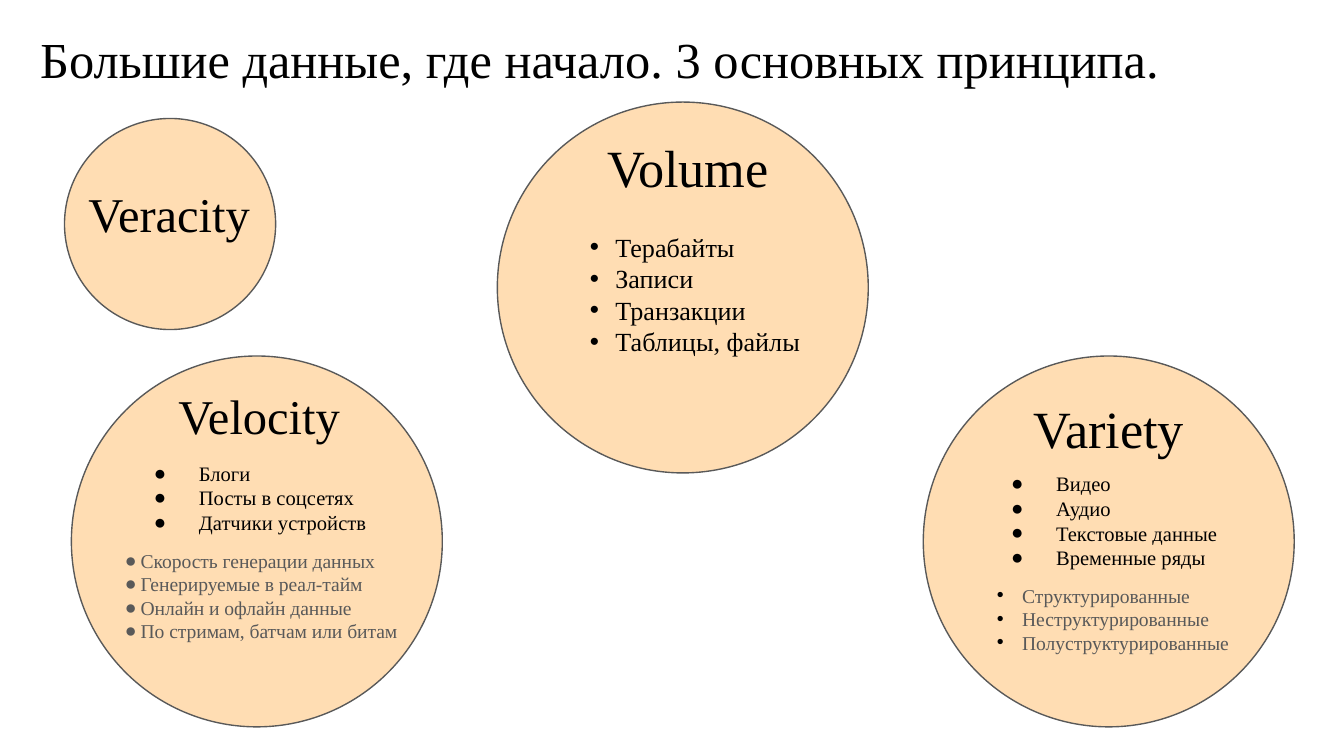
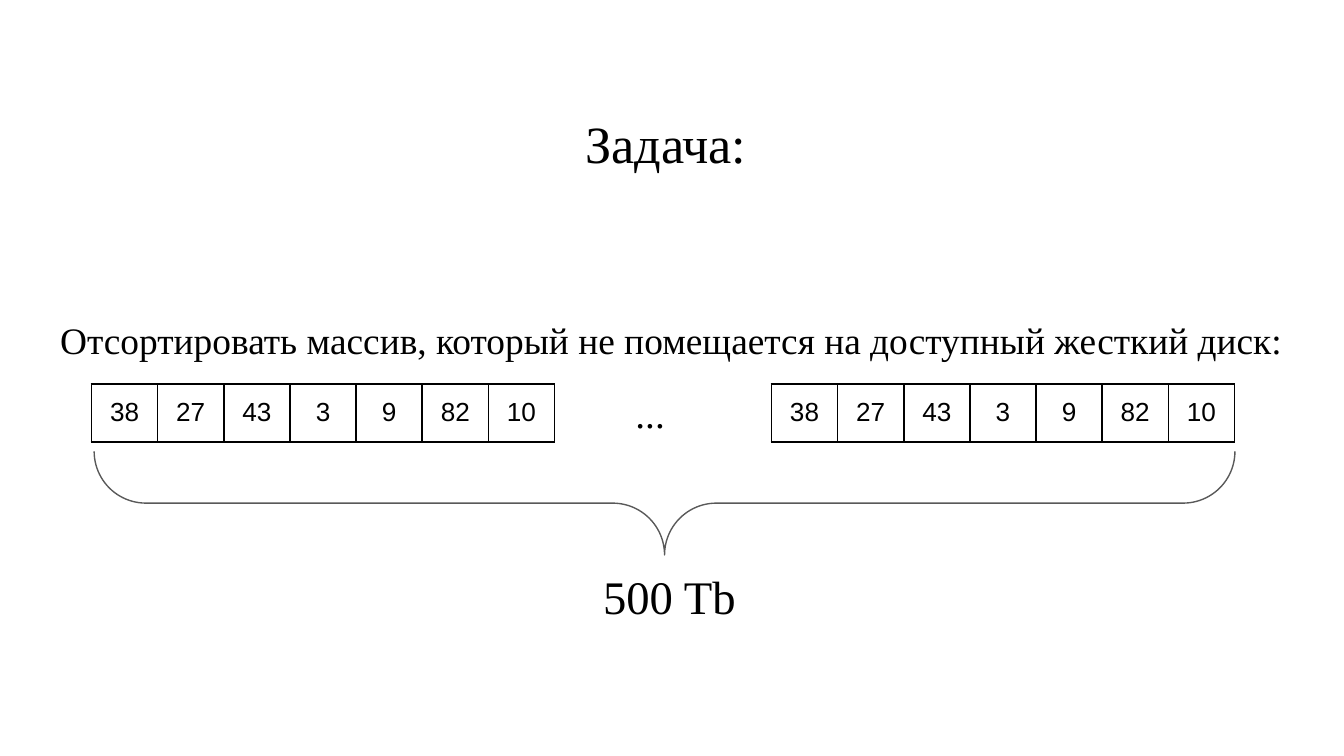
from lxml import etree
from pptx import Presentation
from pptx.dml.color import RGBColor
from pptx.enum.shapes import MSO_SHAPE
from pptx.enum.text import MSO_ANCHOR, PP_ALIGN
from pptx.oxml.ns import qn
from pptx.util import Cm, Pt

OVAL, BRACE = MSO_SHAPE.OVAL, MSO_SHAPE.LEFT_BRACE
LEFT, MID, TOP = PP_ALIGN.LEFT, PP_ALIGN.CENTER, MSO_ANCHOR.TOP
SERIF, SANS = "Times New Roman", "Arial"
HUES = {"ink": "000000", "grey": "595959", "peach": "FFDDB3"}
PAD, SLIM = 0.25, 0.13

WIDE = ("●", 1.27, 0.85)
DOT = ("•", 0.48, 0.48)
TIGHT = ("●", 0.3, 0.3)

DISCS = [(17.45, 6.73, 7.01), (9.4, 1.93, 7.01), (1.35, 6.73, 7.01), (1.22, 2.24, 3.99)]

HEADS = [
    ("Большие данные, где начало. 3 основных принципа.", (0.51, 0.28, 26.14, 1.68), 27, PAD),
    ("Volume", (11.23, 2.31, 3.84, 1.7), 28, PAD),
    ("Velocity", (3.12, 7.04, 4.09, 1.63), 26, PAD),
    ("Variety", (19.28, 7.24, 4.09, 1.7), 28, PAD),
    ("Veracity", (1.42, 3.35, 3.61, 1.37), 26, SLIM),
]

LISTS = [
    (["Блоги", "Посты в соцсетях", "Датчики устройств"],
     (2.24, 8.46, 5.23, 2.39), 11, PAD, "ink", WIDE, "ink"),
    (["Видео", "Аудио", "Текстовые данные", "Временные ряды"],
     (18.44, 8.66, 5.79, 3.33), 11, PAD, "ink", WIDE, "ink"),
    (["Скорость генерации данных", "Генерируемые в реал-тайм",
      "Онлайн и офлайн данные", "По стримам, батчам или битам"],
     (2.11, 10.24, 6.12, 2.44), 10.5, SLIM, "grey", TIGHT, "grey"),
    (["Терабайты", "Записи", "Транзакции", "Таблицы, файлы"],
     (10.9, 4.24, 4.65, 3.43), 14, SLIM, "ink", DOT, "ink"),
    (["Структурированные", "Неструктурированные", "Полуструктурированные"],
     (18.59, 10.9, 5.05, 1.6), 10.5, SLIM, "grey", DOT, "ink"),
]

TASK = ("Задача:", (10.82, 1.68, 3.73, 1.6), 28)
NOTES = [
    ("Отсортировать массив, который не помещается на доступный жесткий диск:",
     (0.56, 5.74, 24.26, 1.37), 20, MID),
    ("500 Tb", (11.15, 10.49, 3.63, 1.57), 25, LEFT),
    ("...", (11.76, 7.11, 1.55, 1.42), 21, LEFT),
]
ARRAY = [38, 27, 43, 3, 9, 82, 10]
STARTS, ROW, CELL, TALL = (1.73, 14.58), 7.26, 1.25, 1.09
HOOK = (11.58, -1.27, 1.96, 21.56)


def hue(name):
    return RGBColor.from_string(HUES[name])


def place(box):
    return [Cm(n) for n in box]


def inset(part, side, top):
    part.margin_left = part.margin_right = Cm(side)
    part.margin_top = part.margin_bottom = Cm(top)


def style(para, size, tint="ink", face=SERIF):
    font = para.font
    font.name, font.size, font.color.rgb = face, Pt(size), hue(tint)


def mark(para, kind, tint):
    sign, left, hang = kind
    props = para._p.get_or_add_pPr()
    props.set("marL", str(Cm(left)))
    props.set("indent", str(-Cm(hang)))
    parts = []
    for tag in ("a:buClr", "a:buFont", "a:buChar"):
        part = etree.Element(qn(tag))
        parts.append(part)
    etree.SubElement(parts[0], qn("a:srgbClr"), val=HUES[tint])
    parts[1].set("typeface", SANS)
    parts[2].set("char", sign)
    for at, part in enumerate(parts):
        props.insert(at, part)


def write(slide, lines, box, size, pad=PAD, tint="ink", align=LEFT, kind=None, spot="ink"):
    frame = slide.shapes.add_textbox(*place(box)).text_frame
    frame.word_wrap, frame.vertical_anchor = True, TOP
    inset(frame, 0.25, pad)
    frame.text = "\n".join(lines)
    for para in frame.paragraphs:
        para.alignment = align
        style(para, size, tint)
        if kind:
            mark(para, kind, spot)
    return frame


def draw(slide, form, box, fill=None):
    shape = slide.shapes.add_shape(form, *place(box))
    shape.shadow.inherit = False
    shape.line.color.rgb, shape.line.width = hue("grey"), Pt(0.75)
    if fill:
        shape.fill.solid()
        shape.fill.fore_color.rgb = hue(fill)
    else:
        shape.fill.background()
    return shape


def edge(cell):
    props = cell._tc.get_or_add_tcPr()
    for at, side in enumerate(("lnL", "lnR", "lnT", "lnB")):
        line = etree.Element(qn("a:" + side), w=str(Pt(1)))
        fill = etree.SubElement(line, qn("a:solidFill"))
        etree.SubElement(fill, qn("a:srgbClr"), val=HUES["ink"])
        props.insert(at, line)


def strip(slide, left):
    count = len(ARRAY)
    box = place((left, ROW, CELL * count, TALL))
    table = slide.shapes.add_table(1, count, *box).table
    table.first_row = table.horz_banding = False
    for col, num in enumerate(ARRAY):
        table.columns[col].width = Cm(CELL)
        cell = table.cell(0, col)
        cell.text = str(num)
        cell.fill.background()
        inset(cell, PAD, PAD)
        para = cell.text_frame.paragraphs[0]
        para.alignment = MID
        style(para, 14, face=SANS)
        edge(cell)


def basics(slide):
    for left, top, side in DISCS:
        draw(slide, OVAL, (left, top, side, side), "peach")
    for text, box, size, pad in HEADS:
        write(slide, [text], box, size, pad)
    for lines, box, size, pad, tint, kind, spot in LISTS:
        write(slide, lines, box, size, pad, tint, kind=kind, spot=spot)


def task(slide):
    write(slide, [TASK[0]], *TASK[1:]).paragraphs[0].line_spacing = 1.15
    for left in STARTS:
        strip(slide, left)
    for text, box, size, align in NOTES:
        write(slide, [text], box, size, align=align)
    brace = draw(slide, BRACE, HOOK)
    brace.rotation = 270
    brace.adjustments[0], brace.adjustments[1] = 0.5, 0.5


def main():
    deck = Presentation()
    deck.slide_width, deck.slide_height = Cm(25.4), Cm(14.29)
    for fill in (basics, task):
        fill(deck.slides.add_slide(deck.slide_layouts[6]))
    deck.save("out.pptx")


if __name__ == "__main__":
    main()
